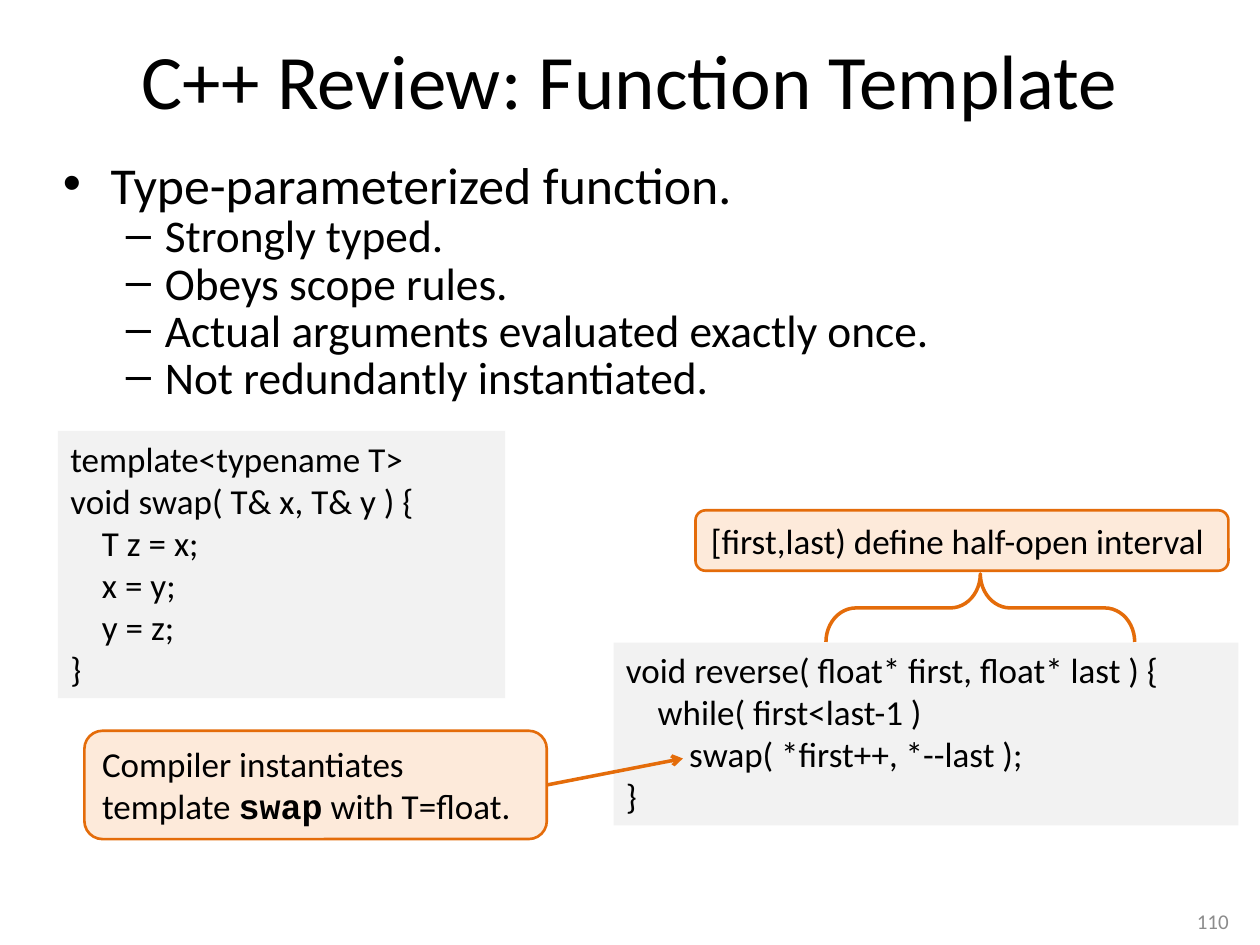
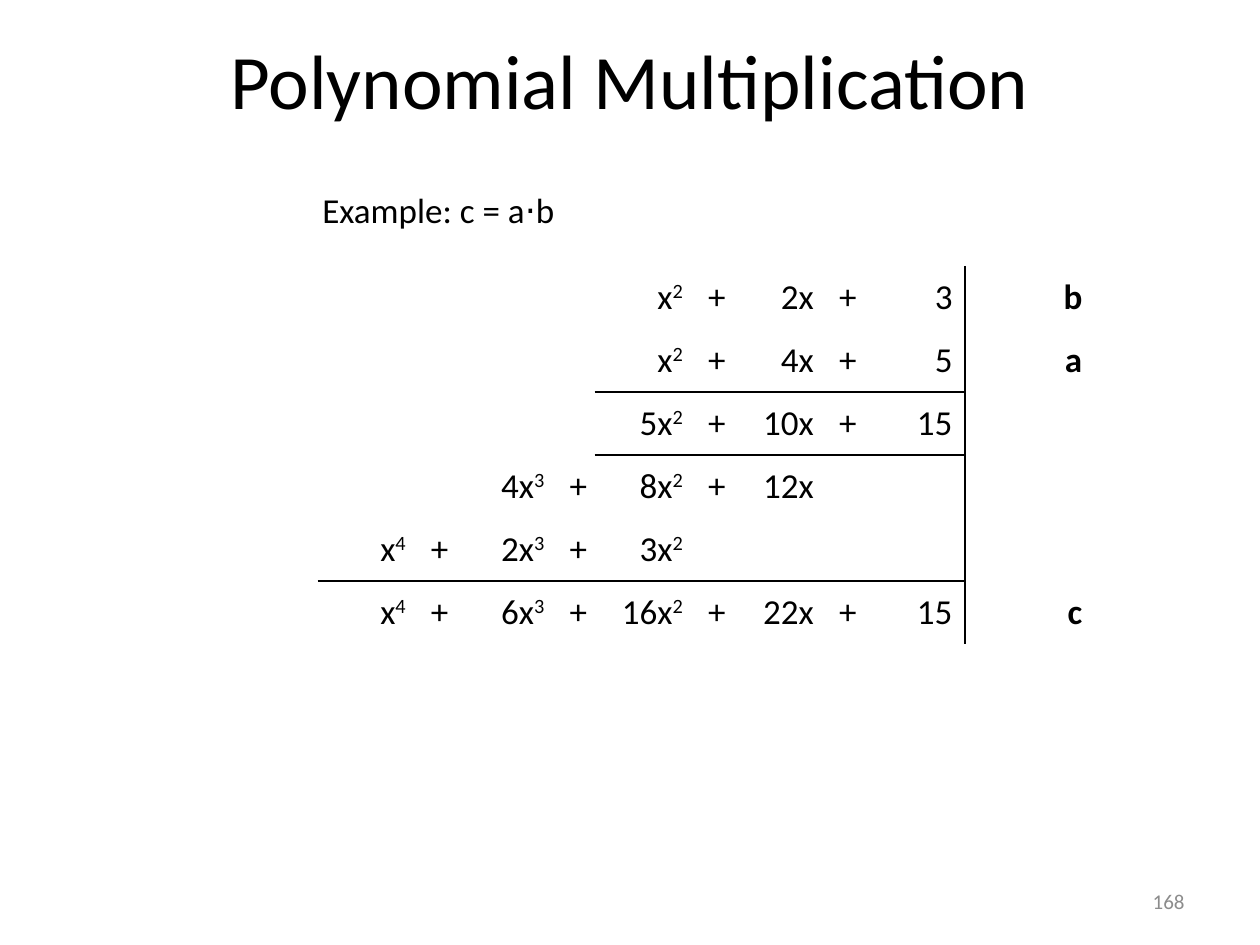
"""Build two lecture slides: a function template and a polynomial product."""
from dataclasses import dataclass
from itertools import accumulate

from lxml.etree import SubElement as Sub
from pptx import Presentation
from pptx.dml.color import RGBColor as Rgb
from pptx.enum.shapes import MSO_CONNECTOR as Link, MSO_SHAPE as Form
from pptx.enum.text import MSO_ANCHOR as Anchor, PP_ALIGN as Align
from pptx.oxml import parse_xml as make
from pptx.oxml.ns import nsdecls, qn
from pptx.util import Emu, Inches, Pt

HUES = {"ink": "000000", "code": "F2F2F2", "note": "FDEADA", "edge": "E46C0A", "page": "8C8C8C"}
SANS, MONO = "Calibri", "Courier New"
WIDE, HIGH = Inches(10), Inches(7.5)
COLS, ROWS = 100, 75
PLAIN = "{2D5ABB26-0587-4C30-8999-92F81FD0307C}"


@dataclass(frozen=True)
class Spot:
    """Place and size in grid columns and rows."""
    col: float
    row: float
    wide: float
    high: float

    def area(self) -> tuple:
        """Return left, top, width and height as lengths."""
        return across(self.col), down(self.row), across(self.wide), down(self.high)


@dataclass(frozen=True)
class Run:
    """A piece of text with its own look."""
    text: str
    bold: bool = False
    face: str = SANS
    power: bool = False


@dataclass(frozen=True)
class Level:
    """Look of one bullet level."""
    mark: str
    left: float
    hang: float
    size: float


@dataclass(frozen=True)
class Panel:
    """A filled box with text."""
    spot: Spot
    lines: list
    form: Form
    fill: str
    edge: str | None = None


TOP = Level("•", 0.38, 0.38, 29.6)
SUB = Level("–", 0.81, 0.31, 25.9)
TITLE = Spot(5, 0, 90, 12.5)

POINTS = [
    (TOP, "Type-parameterized function."),
    (SUB, "Strongly typed."),
    (SUB, "Obeys scope rules."),
    (SUB, "Actual arguments evaluated exactly once."),
    (SUB, "Not redundantly instantiated."),
]

SWAP = """template<typename T>
void swap( T& x, T& y ) {
    T z = x;
    x = y;
    y = z;
}"""

TURN = """void reverse( float* first, float* last ) {
    while( first<last-1 )
        swap( *first++, *--last );
}"""

MAKES = [Run("Compiler instantiates template "), Run("swap", True, MONO), Run(" with T=float.")]

PANELS = [
    Panel(Spot(4.6, 34.2, 35.5, 21.2), SWAP.split("\n"), Form.RECTANGLE, "code"),
    Panel(Spot(48.7, 51, 49.6, 14.5), TURN.split("\n"), Form.RECTANGLE, "code"),
    Panel(Spot(55.2, 40.5, 42.3, 4.8), ["[first,last) define half-open interval"],
          Form.ROUNDED_RECTANGLE, "note", "edge"),
    Panel(Spot(6.7, 58, 36.7, 8.6), [MAKES], Form.ROUNDED_RECTANGLE, "note", "edge"),
]

TERMS = [
    "||||x^2|+|2x|+|3|b",
    "||||x^2|+|4x|+|5|a",
    "||||5x^2|+|10x|+|15|",
    "||4x^3|+|8x^2|+|12x|||",
    "x^4|+|2x^3|+|3x^2|||||",
    "x^4|+|6x^3|+|16x^2|+|22x|+|15|c",
]
SPANS = [8, 3, 8, 3, 8, 2.3, 8, 3, 8, 10.3]
RULES = {1: 4, 4: 0}
BAR = 8


def across(cols: float) -> Emu:
    """Turn grid columns into a length."""
    return Emu(round(WIDE * cols / COLS))


def down(rows: float) -> Emu:
    """Turn grid rows into a length."""
    return Emu(round(HIGH * rows / ROWS))


def hue(name: str) -> Rgb:
    """Look up a colour."""
    return Rgb.from_string(HUES[name])


def write(frame, lines: list, size: float = 20, ink: str = "ink", align=Align.LEFT,
          anchor=Anchor.TOP, wrap: bool = True) -> None:
    """Fill a text frame, one paragraph for each line."""
    frame.word_wrap = wrap
    frame.vertical_anchor = anchor
    for num, line in enumerate(lines):
        para = frame.add_paragraph() if num else frame.paragraphs[0]
        para.alignment = align
        for part in [Run(line)] if isinstance(line, str) else line:
            run = para.add_run()
            run.text = part.text
            font = run.font
            font.size, font.name, font.bold = Pt(size), part.face, part.bold
            font.color.rgb = hue(ink)
            if part.power:
                run._r.get_or_add_rPr().set("baseline", "30000")


def label(slide, spot: Spot, lines: list, **looks):
    """Add a text box."""
    box = slide.shapes.add_textbox(*spot.area())
    write(box.text_frame, lines, **looks)
    return box


def start(deck, title: str, page: str, spot: Spot):
    """Add a blank slide with its title and page number."""
    slide = deck.slides.add_slide(deck.slide_layouts[6])
    label(slide, TITLE, [title], size=44, align=Align.CENTER, anchor=Anchor.MIDDLE)
    label(slide, spot, [page], size=12, ink="page", align=Align.RIGHT, anchor=Anchor.MIDDLE)
    return slide


def shape(slide, form, spot: Spot, fill: str | None = None, edge: str | None = None,
          width: float = 1.5):
    """Add a flat preset shape."""
    item = slide.shapes.add_shape(form, *spot.area())
    item.shadow.inherit = False
    if fill:
        item.fill.solid()
        item.fill.fore_color.rgb = hue(fill)
    else:
        item.fill.background()
    if edge:
        item.line.color.rgb = hue(edge)
        item.line.width = Pt(width)
    else:
        item.line.fill.background()
    return item


def panel(slide, data: Panel):
    """Draw a filled box with text."""
    item = shape(slide, data.form, data.spot, data.fill, data.edge)
    write(item.text_frame, data.lines, anchor=Anchor.TOP)
    return item


def arrow(slide, source, col: float, row: float) -> None:
    """Draw an arrow from the right side of a box to a point."""
    end = across(col), down(row)
    line = slide.shapes.add_connector(Link.STRAIGHT, 0, 0, *end)
    line.begin_connect(source, 3)
    line.end_x, line.end_y = end
    line.line.color.rgb = hue("edge")
    line.line.width = Pt(2)
    Sub(line.line._get_or_add_ln(), qn("a:tailEnd"), type="arrow")
    Sub(line._element.spPr, qn("a:effectLst"))


def bullets(slide, spot: Spot, points: list) -> None:
    """Add a list with two bullet levels."""
    box = label(slide, spot, [text for _, text in points])
    for num, (para, (level, _)) in enumerate(zip(box.text_frame.paragraphs, points)):
        props = para._p.get_or_add_pPr()
        props.set("marL", str(Inches(level.left)))
        props.set("indent", str(-Inches(level.hang)))
        Sub(props, qn("a:buFont"), typeface="Arial")
        Sub(props, qn("a:buChar"), char=level.mark)
        para.line_spacing = 0.7
        para.space_before = Pt(level.size / 5 if num else 0)
        para.runs[0].font.size = Pt(level.size)


def sides(row: int, col: int) -> str:
    """Name the ruled sides of a cell, in schema order."""
    def ruled(line: int) -> bool:
        return line in RULES and RULES[line] <= col <= BAR
    tests = {"L": col == BAR + 1, "R": col == BAR, "T": ruled(row - 1), "B": ruled(row)}
    return "".join(side for side, test in tests.items() if test)


def rule(cell, names: str) -> None:
    """Draw black lines on the named sides of a cell."""
    props = cell._tc.get_or_add_tcPr()
    for num, side in enumerate(names):
        props.insert(num, make(
            f'<a:ln{side} {nsdecls("a")} w="12700"><a:solidFill>'
            f'<a:srgbClr val="{HUES["ink"]}"/></a:solidFill></a:ln{side}>'))


def product(slide, col: float, row: float, step: float) -> None:
    """Draw the long product as a table."""
    total = list(accumulate(SPANS))[-1]
    spot = Spot(col, row, total, step * len(TERMS))
    grid = slide.shapes.add_table(len(TERMS), len(SPANS), *spot.area()).table
    grid.first_row = grid.horz_banding = False
    grid._tbl.tblPr.find(qn("a:tableStyleId")).text = PLAIN
    for part, span in zip(grid.columns, SPANS):
        part.width = across(span)
    for y, line in enumerate(TERMS):
        grid.rows[y].height = down(step)
        for x, term in enumerate(line.split("|")):
            cell = grid.cell(y, x)
            cell.fill.background()
            cell.vertical_anchor = Anchor.MIDDLE
            rule(cell, sides(y, x))
            if term:
                base, _, power = term.partition("^")
                runs = [Run(base, x > BAR)] + ([Run(power, power=True)] if power else [])
                align = Align.CENTER if term == "+" else Align.RIGHT
                write(cell.text_frame, [runs], align=align, anchor=Anchor.MIDDLE)


def main() -> None:
    """Build and save the deck."""
    deck = Presentation()
    deck.slide_width, deck.slide_height = WIDE, HIGH

    slide = start(deck, "C++ Review: Function Template", "110", Spot(93, 71.7, 5.5, 2.8))
    bullets(slide, Spot(4, 13, 89.1, 21), POINTS)
    note = [panel(slide, data) for data in PANELS][-1]
    brace = shape(slide, Form.LEFT_BRACE, Spot(75.1, 36, 5.4, 24.5), edge="edge", width=2)
    brace.rotation = 90
    brace.adjustments[0] = 0.44
    arrow(slide, note, 54.2, 60.2)

    slide = start(deck, "Polynomial Multiplication", "168", Spot(71.7, 69.5, 23.3, 4))
    product(slide, 25.2, 21.1, 5)
    label(slide, Spot(24.6, 14.5, 20.4, 4.4), ["Example: c = a⋅b"], wrap=False)
    deck.save("out.pptx")


if __name__ == "__main__":
    main()
